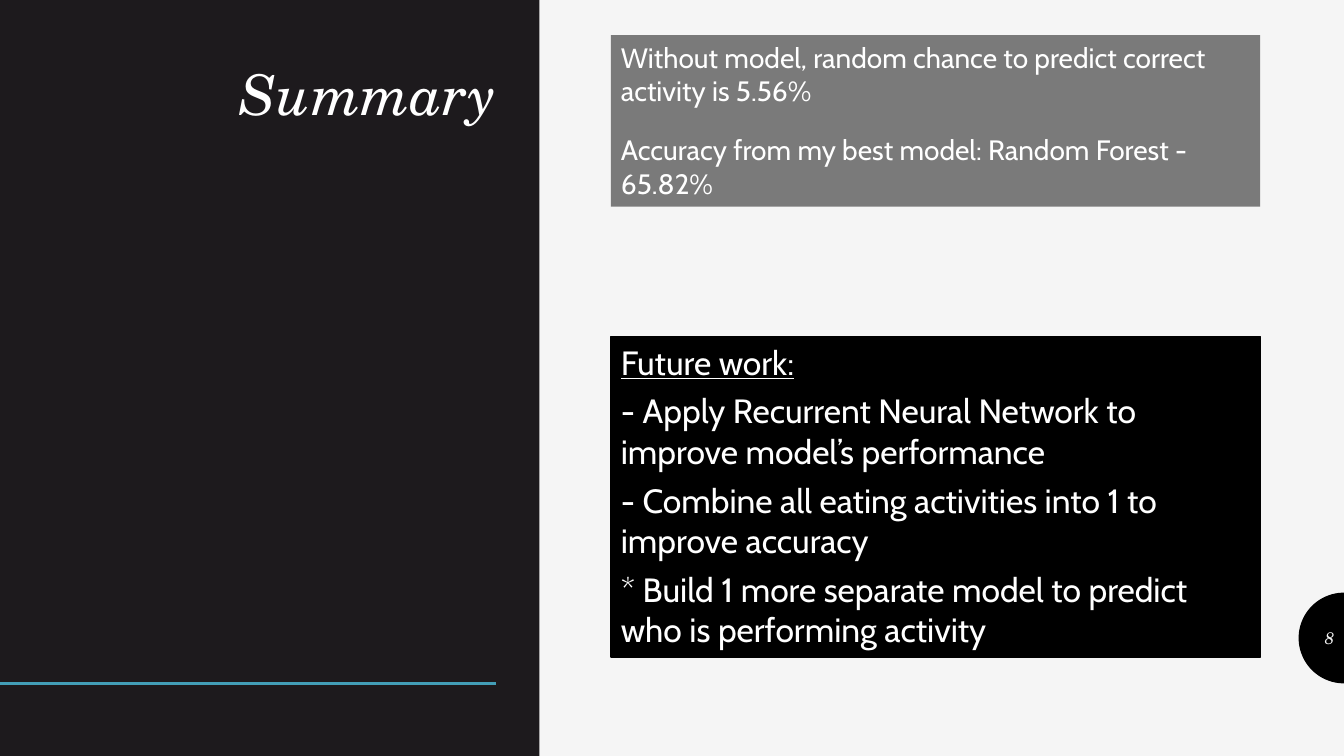
from math import cos, pi, sin

from lxml.etree import SubElement
from pptx import Presentation
from pptx.dml.color import RGBColor
from pptx.enum.shapes import MSO_CONNECTOR, MSO_SHAPE
from pptx.enum.text import MSO_ANCHOR, MSO_AUTO_SIZE, PP_ALIGN
from pptx.oxml.ns import qn
from pptx.util import Inches, Pt

WIDTH, HEIGHT = 13.33, 7.5
COLORS = {
    "page": "F5F5F5",
    "panel": "1D1A1D",
    "rule": "439EB7",
    "black": "000000",
    "white": "FFFFFF",
}
HEADING_FONT, BODY_FONT = "TeX Gyre Schola", "Cabin"

RESULTS = [
    "Without model, random chance to predict correct activity is 5.56%",
    "Accuracy from my best model: Random Forest - 65.82%",
]
FUTURE_WORK = [
    "Future work:",
    "- Apply Recurrent Neural Network to improve model’s performance",
    "- Combine all eating activities into 1 to improve accuracy",
    "* Build 1 more separate model to predict who is performing activity",
]


def color(name):
    return RGBColor.from_string(COLORS[name])


def inches(*lengths):
    return [Inches(length) for length in lengths]


def paint(shape, fill):
    shape.shadow.inherit = False
    shape.fill.solid()
    shape.fill.fore_color.rgb = color(fill)
    shape.line.fill.background()


def add_span(para, text, size, font, tint="white", italic=False):
    span = para.add_run()
    span.text = text
    span.font.size = Pt(size)
    span.font.name = font
    span.font.italic = italic
    span.font.color.rgb = color(tint)
    return span


def add_side_panel(page, left, top, width, height):
    """Dark panel with the slide title and a rule near the foot."""
    panel = page.shapes.add_shape(
        MSO_SHAPE.RECTANGLE, *inches(left, top, width, height))
    paint(panel, "panel")

    rule_y = top + height * 0.904
    rule = page.shapes.add_connector(
        MSO_CONNECTOR.STRAIGHT,
        *inches(left, rule_y, left + width * 0.92, rule_y))
    rule.line.color.rgb = color("rule")
    rule.line.width = Pt(2)
    SubElement(rule.element.spPr, qn("a:effectLst"))

    title = page.shapes.title
    title.left, title.top, title.width, title.height = inches(
        left + 0.83, top + 0.61, width - 1.16, 0.71)
    # Bring the title in front of the panel
    page.shapes.element.append(title.element)
    frame = title.text_frame
    frame.auto_size = MSO_AUTO_SIZE.NONE
    frame.vertical_anchor = MSO_ANCHOR.BOTTOM
    para = frame.paragraphs[0]
    para.alignment = PP_ALIGN.RIGHT
    para.line_spacing = 0.9
    add_span(para, "Summary", 40, HEADING_FONT, italic=True)


def add_page_badge(page, right, middle, radius, number):
    """Half disc on the right edge holding the page number."""
    steps = 48
    angles = [pi / 2 + pi * step / steps for step in range(steps + 1)]
    points = [(Inches(right + radius * cos(angle)),
               Inches(middle + radius * sin(angle))) for angle in angles]
    builder = page.shapes.build_freeform(*points[0])
    builder.add_line_segments(points[1:], close=True)
    paint(builder.convert_to_shape(), "black")

    box = page.shapes.add_textbox(
        *inches(right - radius, middle - 0.2, radius, 0.4))
    frame = box.text_frame
    frame.word_wrap = True
    frame.vertical_anchor = MSO_ANCHOR.MIDDLE
    para = frame.paragraphs[0]
    para.alignment = PP_ALIGN.RIGHT
    add_span(para, number, 12, HEADING_FONT, "page", italic=True)


def add_text_block(page, left, top, width, height, lines, size, gap):
    """Black box of left-aligned paragraphs, gap points apart."""
    block = page.shapes.add_shape(
        MSO_SHAPE.RECTANGLE, *inches(left, top, width, height))
    paint(block, "black")
    frame = block.text_frame
    frame.word_wrap = True
    frame.auto_size = MSO_AUTO_SIZE.SHAPE_TO_FIT_TEXT
    frame.vertical_anchor = MSO_ANCHOR.TOP
    for index, line in enumerate(lines):
        para = frame.add_paragraph() if index else frame.paragraphs[0]
        para.alignment = PP_ALIGN.LEFT
        para.space_before = Pt(gap if index else 0)
        add_span(para, line, size, BODY_FONT)
    return block


def add_content(page, left, top, width):
    """Results above, future work below, in one column."""
    results = add_text_block(
        page, left, top, width, 1.7, RESULTS, size=20, gap=18)
    tint = results.fill._xPr.find(qn("a:solidFill"))[0]
    SubElement(tint, qn("a:alpha"), val="50000")

    future = add_text_block(
        page, left, top + 2.99, width, 3.18, FUTURE_WORK, size=24, gap=6)
    future.line.color.rgb = color("black")
    future.line.width = Pt(1)
    future.text_frame.paragraphs[0].runs[0].font.underline = True


def main():
    deck = Presentation()
    deck.slide_width, deck.slide_height = inches(WIDTH, HEIGHT)
    page = deck.slides.add_slide(deck.slide_layouts.get_by_name("Title Only"))
    page.background.fill.solid()
    page.background.fill.fore_color.rgb = color("page")

    add_side_panel(page, 0, 0, 5.35, HEIGHT)
    add_page_badge(page, WIDTH, HEIGHT * 0.844, 0.45, "8")
    add_content(page, 6.06, 0.35, 6.44)
    deck.save("out.pptx")


if __name__ == "__main__":
    main()
